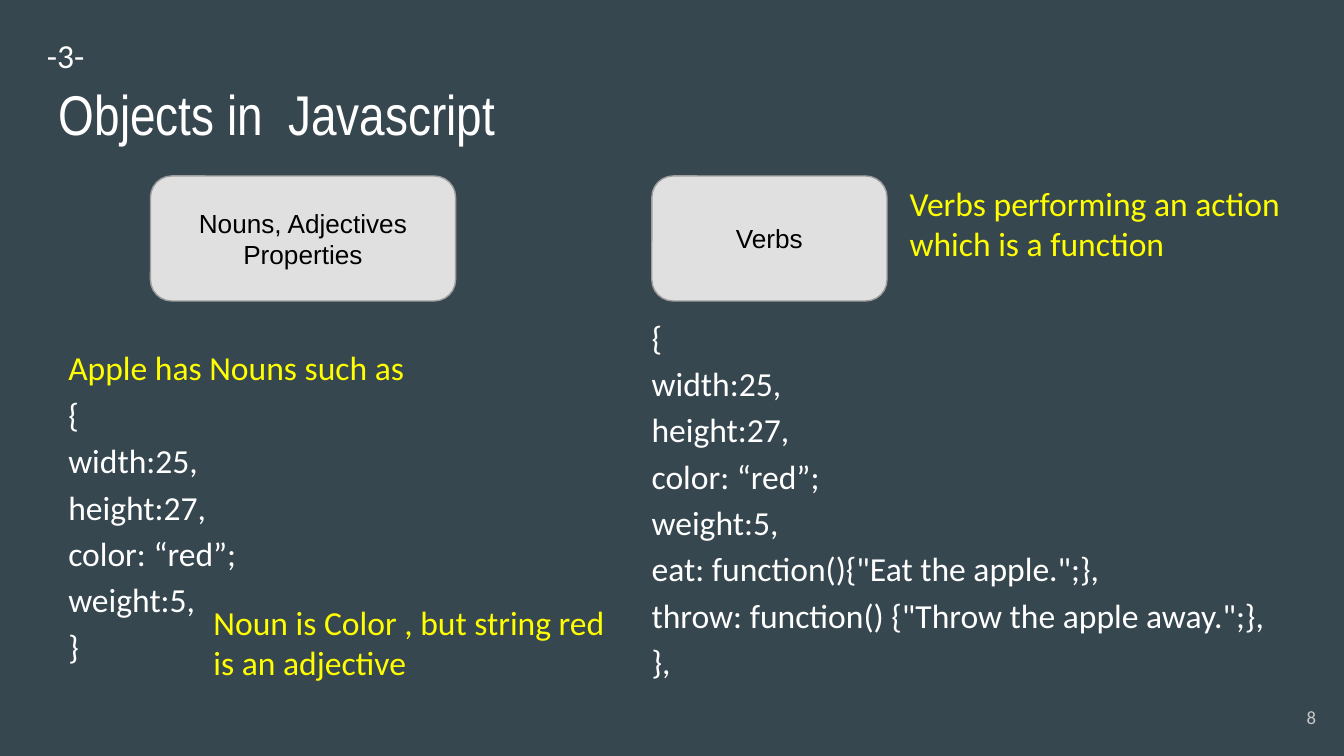
from pptx import Presentation
from pptx.dml.color import RGBColor
from pptx.enum.shapes import MSO_SHAPE as Shape
from pptx.enum.text import MSO_ANCHOR as Anchor, PP_ALIGN as Align
from pptx.util import Inches, Pt

COLORS = {
    "slate": "37474F",
    "white": "FFFFFF",
    "yellow": "FFFF00",
    "black": "000000",
    "card": "E0E0E0",
    "border": "9E9E9E",
    "number": "CACACA",
}
APPLE = ["{", "width:25,", "height:27,", "color: “red”;", "weight:5,"]
ACTIONS = [
    'eat: function(){"Eat the apple.";},',
    'throw: function() {"Throw the apple away.";},',
]


def rgb(name):
    """Return the named palette colour."""
    return RGBColor.from_string(COLORS[name])


def fill_text(shape, lines, size=18, font="Calibri", align=Align.LEFT,
              anchor=Anchor.TOP, spacing=None):
    """Write (text, colour) lines into a shape, one paragraph each."""
    frame = shape.text_frame
    frame.word_wrap = True
    frame.vertical_anchor = anchor
    frame.margin_left = frame.margin_right = Inches(0.1)
    frame.margin_top = frame.margin_bottom = Inches(0.1)
    for index, (text, color) in enumerate(lines):
        para = frame.add_paragraph() if index else frame.paragraphs[0]
        para.alignment = align
        para.line_spacing = spacing
        span = para.add_run()
        span.text = text
        span.font.size = Pt(size)
        span.font.name = font
        span.font.color.rgb = rgb(color)


def add_text(page, box, lines, **style):
    """Add a text box at the given box."""
    fill_text(page.shapes.add_textbox(*map(Inches, box)), lines, **style)


def add_card(page, box, labels):
    """Add a rounded grey card with centred labels."""
    card = page.shapes.add_shape(Shape.ROUNDED_RECTANGLE, *map(Inches, box))
    card.shadow.inherit = False
    card.adjustments[0] = 0.17
    card.fill.solid()
    card.fill.fore_color.rgb = rgb("card")
    card.line.color.rgb = rgb("border")
    card.line.width = Pt(0.75)
    fill_text(card, [(label, "black") for label in labels], size=14,
              font="Arial", align=Align.CENTER, anchor=Anchor.MIDDLE)


def add_header(page, left, top, width):
    """Place the section mark and the title below it."""
    add_text(page, (left, top, 0.51, 0.26), [("-3-", "white")])
    add_text(page, (left + 0.09, top + 0.33, width, 0.63),
             [("Objects in  Javascript", "white")], size=30, font="Arial Narrow")


def add_nouns(page, left, top, width):
    """Place the nouns card, its object listing and the adjective note."""
    add_card(page, (left + 0.71, top, 2.27, 0.93),
             ["Nouns, Adjectives", "Properties"])
    listing = [("Apple has Nouns such as", "yellow")]
    listing += [(line, "white") for line in APPLE + ["}"]]
    add_text(page, (left, top + 1.13, 2.97, 2.86), listing, spacing=1.15)
    add_text(page, (left + 1.08, top + 3.07, width - 1.08, 1.17),
             [("Noun is Color , but string red is an adjective", "yellow")])


def add_verbs(page, left, top, width):
    """Place the verbs card, its note and the object listing with functions."""
    add_card(page, (left + 0.1, top, 1.75, 0.93), ["Verbs"])
    add_text(page, (left + 1.92, top - 0.05, width - 1.92, 1.04),
             [("Verbs performing an action which is a function", "yellow")])
    listing = [(line, "white") for line in APPLE + ACTIONS + ["},"]]
    add_text(page, (left, top + 0.9, 4.91, 2.86), listing, spacing=1.15)


def add_page_number(page, box):
    """Place the slide number."""
    add_text(page, box, [("8", "number")], size=10, align=Align.RIGHT,
             anchor=Anchor.MIDDLE)


def main():
    """Build the slide and save the deck."""
    deck = Presentation()
    deck.slide_width, deck.slide_height = Inches(10), Inches(10 * 9 / 16)
    page = deck.slides.add_slide(deck.slide_layouts[6])
    page.background.fill.solid()
    page.background.fill.fore_color.rgb = rgb("slate")
    add_header(page, 0.25, 0.16, 9.32)
    add_nouns(page, 0.41, 1.31, 4.32)
    add_verbs(page, 4.75, 1.31, 5.16)
    add_page_number(page, (9.29, 5.12, 0.6, 0.43))
    deck.save("out.pptx")


if __name__ == "__main__":
    main()
